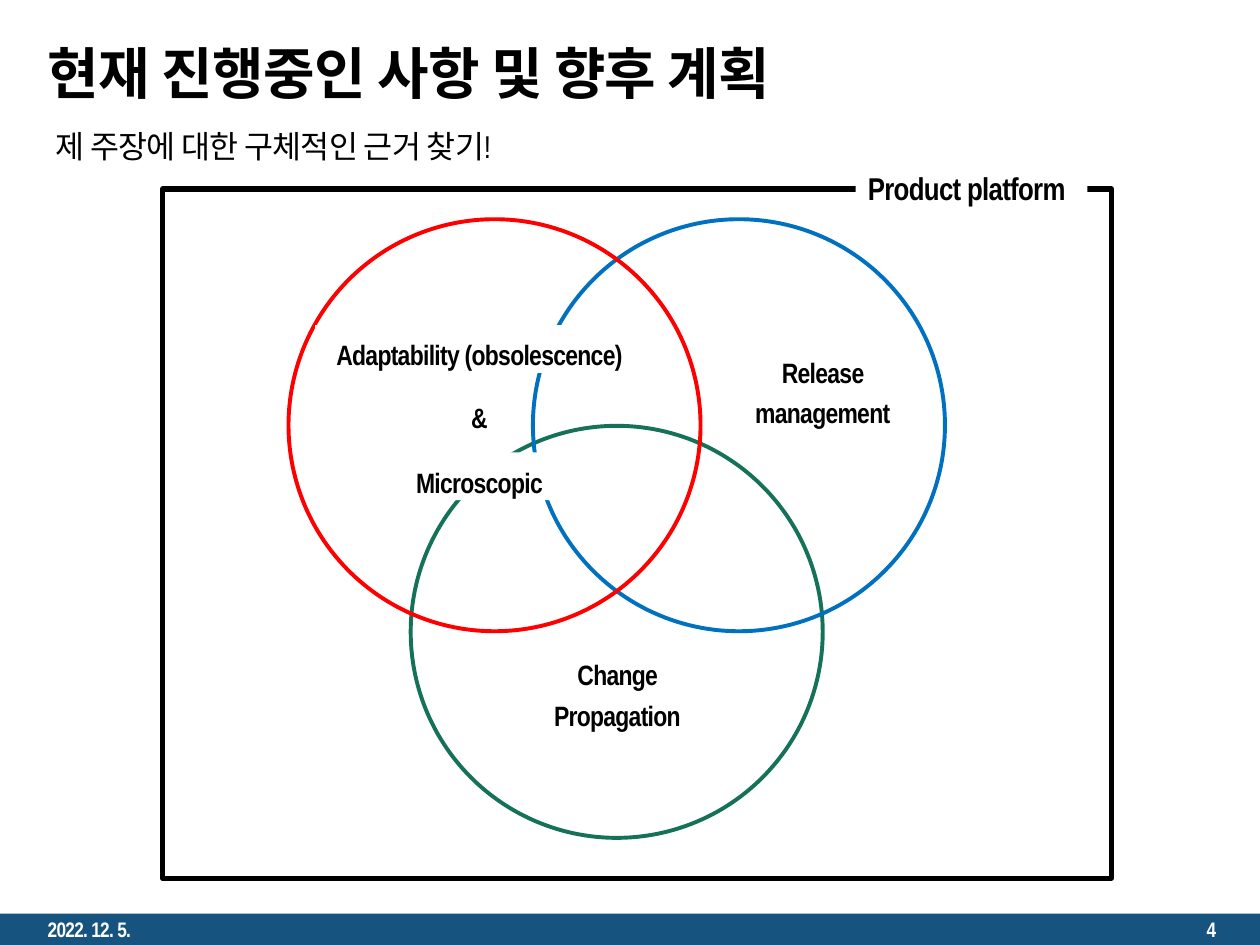
from pptx import Presentation
from pptx.dml.color import RGBColor
from pptx.enum.shapes import MSO_SHAPE as Shape
from pptx.enum.text import MSO_ANCHOR as Anchor, MSO_AUTO_SIZE as AutoSize, PP_ALIGN as Align
from pptx.oxml.ns import qn
from pptx.util import Inches, Pt

COLORS = {
    "black": "000000",
    "white": "FFFFFF",
    "footer": "16537F",
    "red": "FF0000",
    "blue": "0070C0",
    "green": "157259",
}
FONT = "Arial Narrow"
DIAMETER = 3.27
SPACED = {"line_spacing": 1.2, "space_before": Pt(10)}
CENTERED = {"alignment": Align.CENTER, **SPACED}


def color(name):
    return RGBColor.from_string(COLORS[name])


def set_attributes(target, values):
    for name, value in values.items():
        setattr(target, name, value)


def place(shape, box):
    names = ("left", "top", "width", "height")
    set_attributes(shape, dict(zip(names, map(Inches, box))))


def write(shape, text, size, paragraph_format, bold=True, ink="black", anchor=Anchor.TOP):
    frame = shape.text_frame
    set_attributes(frame, {
        "word_wrap": True,
        "auto_size": AutoSize.NONE,
        "vertical_anchor": anchor,
        "margin_left": Inches(0.1),
        "margin_right": Inches(0.1),
        "margin_top": Inches(0.05),
        "margin_bottom": Inches(0.05),
    })
    paragraph = frame.paragraphs[0]
    set_attributes(paragraph, paragraph_format)
    run = paragraph.add_run()
    run.text = text
    set_attributes(run.font, {"name": FONT, "size": Pt(size), "bold": bold})
    run.font.color.rgb = color(ink)
    run.font._element.set("spc", "-40")
    return paragraph


def add_shape(shapes, kind, box, fill=None, line=None, width=0):
    shape = shapes.add_shape(kind, *map(Inches, box))
    shape.shadow.inherit = False
    if fill:
        shape.fill.solid()
        shape.fill.fore_color.rgb = color(fill)
    else:
        shape.fill.background()
    if line:
        shape.line.color.rgb = color(line)
        shape.line.width = Pt(width)
    else:
        shape.line.fill.background()
    return shape


def add_label(slide, text, box, size=16, paragraph_format=CENTERED, fill="white"):
    label = add_shape(slide.shapes, Shape.RECTANGLE, box, fill)
    write(label, text, size, paragraph_format)


def add_headings(slide):
    title, body = slide.placeholders
    place(title, (0.28, 0.25, 9.38, 0.64))
    write(title, "현재 진행중인 사항 및 향후 계획", 32, {"alignment": Align.LEFT}, anchor=Anchor.MIDDLE)
    place(body, (0.34, 0.9, 9.37, 5.79))
    paragraph = write(body, "제 주장에 대한 구체적인 근거 찾기!", 18, SPACED, bold=False)
    properties = paragraph._p.get_or_add_pPr()
    properties.set("marL", "0")
    properties.set("indent", "0")
    properties.append(properties.makeelement(qn("a:buNone"), {}))


def add_footer(slide):
    add_shape(slide.shapes, Shape.RECTANGLE, (0, 7.25, 10, 0.25), "footer")
    for text, left, alignment in (("2022. 12. 5.", 0.28, Align.LEFT), ("4", 7.5, Align.RIGHT)):
        box = slide.shapes.add_textbox(*map(Inches, (left, 7.25, 2.25, 0.25)))
        write(box, text, 12, {"alignment": alignment}, ink="white", anchor=Anchor.MIDDLE)


def add_circles(slide):
    group = slide.shapes.add_group_shape()
    for line, left, top in (("green", 3.26, 3.38), ("blue", 4.23, 1.74), ("red", 2.29, 1.74)):
        add_shape(group.shapes, Shape.OVAL, (left, top, DIAMETER, DIAMETER), line=line, width=2.25)


def main():
    presentation = Presentation()
    set_attributes(presentation, {"slide_width": Inches(10), "slide_height": Inches(7.5)})
    slide = presentation.slides.add_slide(presentation.slide_layouts[1])
    add_headings(slide)
    add_footer(slide)
    add_circles(slide)
    add_label(slide, "Adaptability (obsolescence)", (2.5, 2.58, 2.61, 0.38))
    add_label(slide, "Release management", (5.76, 2.72, 1.54, 0.77))
    add_label(slide, "Change Propagation", (4.13, 5.12, 1.54, 0.77))
    add_shape(slide.shapes, Shape.RECTANGLE, (1.29, 1.5, 7.53, 5.47), line="black", width=3)
    add_label(slide, "Product platform", (6.79, 1.23, 1.84, 0.47), 18, {"alignment": Align.LEFT, **SPACED})
    add_label(slide, "&", (2.5, 3.08, 2.61, 0.44), fill=None)
    add_label(slide, "Microscopic", (2.5, 3.59, 2.61, 0.38))
    presentation.save("out.pptx")


main()
